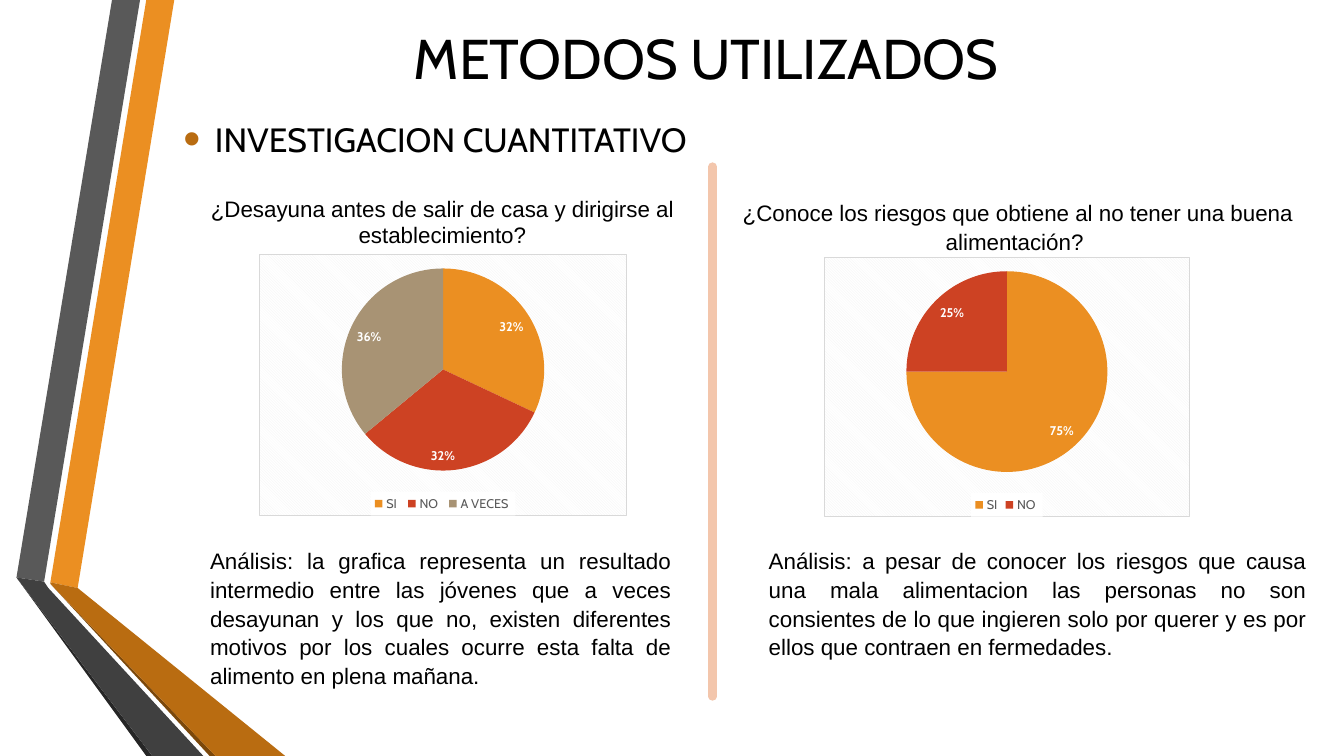
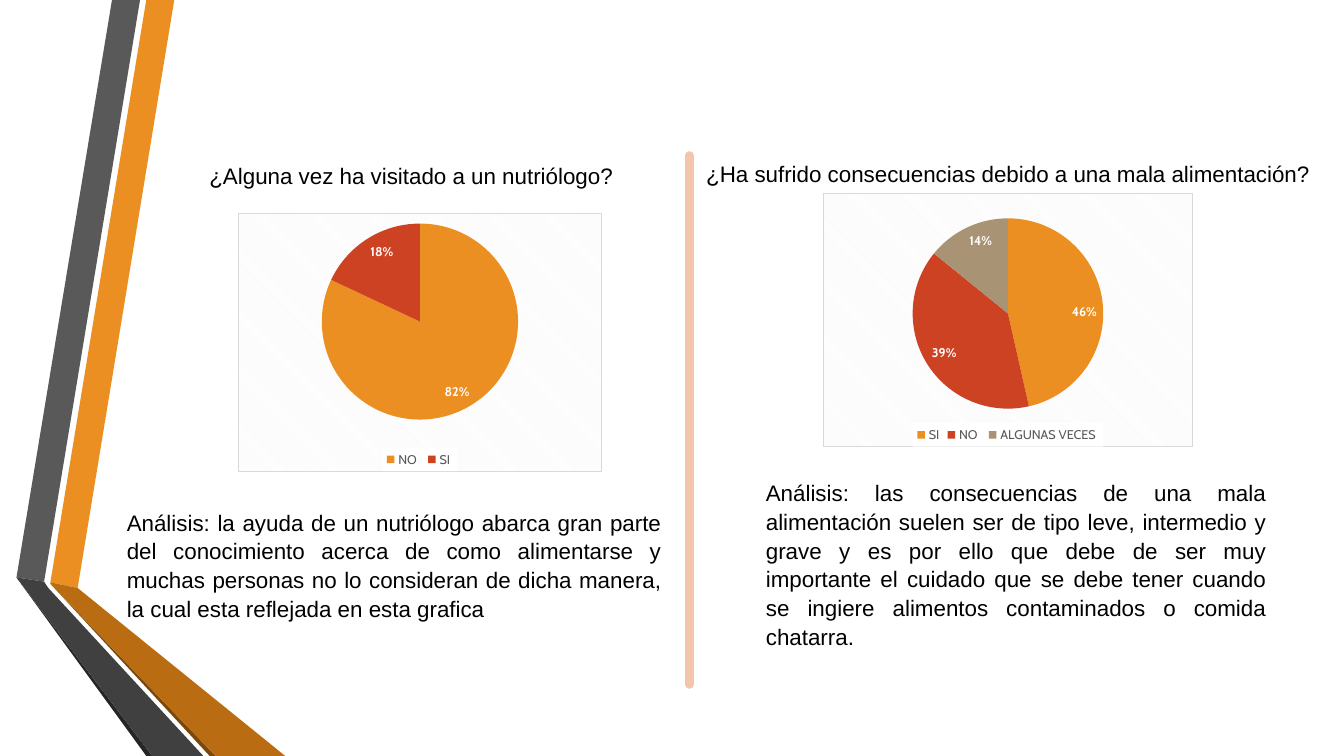
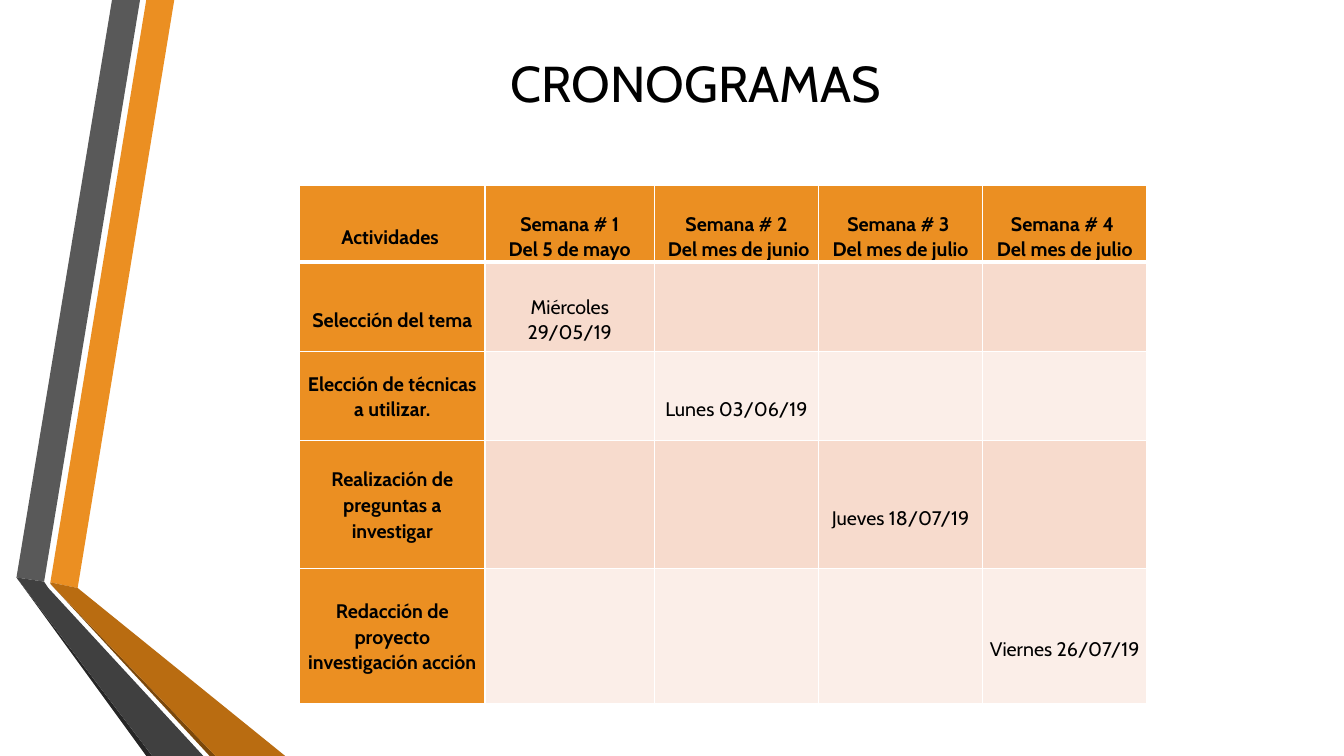
from dataclasses import dataclass

from pptx import Presentation
from pptx.chart.data import CategoryChartData as ChartData
from pptx.dml.color import RGBColor
from pptx.enum.chart import XL_CHART_TYPE as Kind
from pptx.enum.chart import XL_LABEL_POSITION as Spot
from pptx.enum.chart import XL_LEGEND_POSITION as Side
from pptx.enum.shapes import MSO_CONNECTOR as Line
from pptx.enum.text import MSO_ANCHOR as Anchor
from pptx.enum.text import MSO_AUTO_SIZE as Fit
from pptx.enum.text import PP_ALIGN as Align
from pptx.oxml import parse_xml
from pptx.oxml.ns import nsdecls, qn
from pptx.util import Pt

INK = {
    "black": "000000", "white": "FFFFFF", "gray": "595959", "dark": "404040",
    "night": "262626", "orange": "EB8F22", "rust": "B96C11", "brown": "7B480B",
    "red": "CD4223", "sand": "A89374", "peach": "F3C6AC", "rose": "F7DBCD",
    "blush": "FBEEE8", "mist": "F2F2F2", "edge": "D9D9D9",
}
SLICES = ("orange", "red", "sand")
HEAD, BODY = "Cabin", "Arial"


@dataclass
class Box:
    left: float
    top: float
    width: float
    height: float

    def lengths(self) -> tuple:
        return tuple(Pt(v) for v in (self.left, self.top, self.width, self.height))


@dataclass
class Band:
    ink: str
    points: tuple


@dataclass
class Note:
    box: Box
    text: str
    align: Align = Align.JUSTIFY
    loose: bool = True


@dataclass
class Pie:
    box: Box
    names: tuple
    values: tuple
    plot: tuple = ()


@dataclass
class Rule:
    x: float
    top: float
    bottom: float


@dataclass
class Row:
    height: float
    label: str
    drop: bool
    week: int
    date: str


BANDS = (
    Band("orange", ((36, 416), (55.5, 420), (124.5, 0), (104.5, 0))),
    Band("gray", ((100, 0), (80, 0), (11.75, 412.5), (31.5, 415.5))),
    Band("night", ((11.75, 412.5), (104.5, 540), (108.75, 540))),
    Band("brown", ((36, 417), (149.75, 540), (154, 540))),
    Band("rust", ((36, 417), (154, 540), (203.75, 540), (55.5, 420), (36, 416))),
    Band("dark", ((145.25, 540), (34.5, 420), (31.5, 415.5), (11.75, 412.5),
                  (108.75, 540))),
)

HABITS = (
    Pie(Box(185, 181.5, 263, 187), ("SI ", "NO ", "A VECES "), (32, 32, 36)),
    Note(Box(113, 135.5, 406, 46),
         "¿Desayuna antes de salir de casa y dirigirse al establecimiento?",
         Align.CENTER, False),
    Note(Box(143, 386, 343.5, 111),
         "Análisis: la grafica representa un resultado intermedio entre las jóvenes "
         "que a veces desayunan y los que no, existen diferentes motivos por los "
         "cuales ocurre esta falta de alimento en plena mañana."),
    Note(Box(487, 137.5, 480, 49),
         "¿Conoce los riesgos que obtiene al no tener una buena alimentación? ",
         Align.CENTER),
    Rule(509, 119, 497.5),
    Pie(Box(588.5, 183.5, 261.5, 186), ("SI", "NO "), (75, 25)),
    Note(Box(542, 386, 398, 90),
         "Análisis: a pesar de conocer los riesgos que causa una mala alimentacion "
         "las personas no son consientes de lo que ingieren solo por querer y es "
         "por ellos que contraen en fermedades. "),
)
RISKS = (
    Note(Box(142.5, 111, 315.5, 27), "¿Alguna vez ha visitado a un nutriólogo?  "),
    Pie(Box(170, 152, 260, 185), ("NO ", "SI "), (82, 18),
        (0.04, 0.04, 0.92, 0.76)),
    Note(Box(83.5, 358.5, 396, 90),
         "Análisis: la ayuda de un nutriólogo abarca gran parte del conocimiento "
         "acerca de como alimentarse y muchas personas no lo consideran de dicha "
         "manera, la cual esta reflejada en esta grafica "),
    Note(Box(480, 111, 480, 26.5),
         "¿Ha sufrido consecuencias debido a una mala alimentación?",
         Align.CENTER, False),
    Rule(492.5, 111, 489),
    Pie(Box(587.5, 137.5, 265, 182), ("SI", "NO ", "ALGUNAS VECES "),
        (46, 39, 14), (0.04, 0.1, 0.92, 0.75)),
    Note(Box(540, 337.5, 371.5, 132),
         "Análisis: las consecuencias de una mala alimentación suelen ser de tipo "
         "leve, intermedio y grave y es por ello que debe de ser muy importante el "
         "cuidado que se debe tener cuando se ingiere alimentos contaminados o "
         "comida chatarra. "),
)

WIDTHS = (132.5, 121, 117.25, 117.25, 117.25)
TOP_ROW = (
    ("Actividades ",), ("Semana # 1", "Del 5 de mayo"),
    ("Semana # 2", " Del mes de junio"), ("Semana # 3 ", "Del mes de julio"),
    ("Semana # 4 ", "Del mes de julio"),
)
TOP_HIGH = 54.5
ROWS = (
    Row(64, "Selección del tema", True, 1, "Miércoles 29/05/19"),
    Row(64, "Elección de técnicas a utilizar.", False, 2, "Lunes 03/06/19"),
    Row(91, "Realización de preguntas a investigar", False, 3, "Jueves 18/07/19"),
    Row(97, "Redacción de proyecto investigación acción", False, 4,
        "Viernes 26/07/19"),
)


def color(name: str) -> RGBColor:
    return RGBColor.from_string(INK[name])


def style(font, size: float, face: str, ink: str = "black", bold: bool = False) -> None:
    font.size, font.name, font.bold = Pt(size), face, bold
    font.color.rgb = color(ink)


def write(par, text: str, size: float, face: str, bold: bool = False) -> None:
    run = par.add_run()
    run.text = text
    style(run.font, size, face, bold=bold)


# Shared parts
def add_bands(deck, slide) -> None:
    """Draw the folded bands once and hand them to the slide master."""
    group = slide.shapes.add_group_shape()
    for band in BANDS:
        first, *rest = [(Pt(x), Pt(y)) for x, y in band.points]
        pen = group.shapes.build_freeform(*first)
        pen.add_line_segments(rest, close=True)
        shape = pen.convert_to_shape()
        shape.shadow.inherit = False
        shape.fill.solid()
        shape.fill.fore_color.rgb = color(band.ink)
        shape.line.fill.background()
    deck.slide_master.shapes.element.insert(2, group.element)


def set_title(slide, box: Box, text: str, size: float) -> None:
    title = slide.shapes.title
    title.left, title.top, title.width, title.height = box.lengths()
    frame = title.text_frame
    frame.word_wrap, frame.auto_size = True, Fit.NONE
    frame.vertical_anchor = Anchor.MIDDLE
    par = frame.paragraphs[0]
    par.alignment = Align.CENTER
    write(par, text, size, HEAD)


def add_point(slide, box: Box, text: str) -> None:
    frame = slide.shapes.add_textbox(*box.lengths()).text_frame
    frame.word_wrap, frame.vertical_anchor = True, Anchor.MIDDLE
    par = frame.paragraphs[0]
    par.space_after = Pt(6)
    write(par, text, 24, HEAD)
    props = par._p.get_or_add_pPr()
    props.set("marL", str(Pt(22.5)))
    props.set("indent", str(-Pt(22.5)))
    names = nsdecls("a")
    for part in (f'<a:buClr {names}><a:srgbClr val="{INK["rust"]}"/></a:buClr>',
                 f'<a:buSzPct {names} val="145000"/>',
                 f'<a:buFont {names} typeface="Arial"/>',
                 f'<a:buChar {names} char="•"/>'):
        props.append(parse_xml(part))


# Question panels
def add_note(slide, note: Note) -> None:
    frame = slide.shapes.add_textbox(*note.box.lengths()).text_frame
    frame.word_wrap, frame.auto_size = True, Fit.SHAPE_TO_FIT_TEXT
    par = frame.paragraphs[0]
    par.alignment = note.align
    if note.loose:
        par.line_spacing, par.space_after = 1.07, Pt(8)
    write(par, note.text, 16, BODY)


def add_rule(slide, rule: Rule) -> None:
    line = slide.shapes.add_connector(
        Line.STRAIGHT, Pt(rule.x), Pt(rule.top), Pt(rule.x), Pt(rule.bottom))
    line.line.width = Pt(6)
    line.line.color.rgb = color("peach")
    line.line._get_or_add_ln().set("cap", "rnd")
    line._element.spPr.append(parse_xml(f'<a:effectLst {nsdecls("a")}/>'))


def add_pie(slide, pie: Pie) -> None:
    data = ChartData()
    data.categories = pie.names
    data.add_series("Series 1", pie.values)
    chart = slide.shapes.add_chart(Kind.PIE, *pie.box.lengths(), data).chart
    chart.has_title = False
    style(chart.font, 10, HEAD)
    chart.has_legend = True
    legend = chart.legend
    legend.position, legend.include_in_layout = Side.BOTTOM, False
    style(legend.font, 9, HEAD, "gray")

    plot = chart.plots[0]
    plot.vary_by_categories = True
    series = plot.series[0]
    for i in range(len(pie.values)):
        look = series.points[i].format
        look.fill.solid()
        look.fill.fore_color.rgb = color(SLICES[i])
        look.line.fill.background()
    labels = series.data_labels
    labels.show_percentage, labels.show_value = True, False
    labels.number_format, labels.number_format_is_linked = "0%", False
    labels.position = Spot.INSIDE_END
    style(labels.font, 9, HEAD, "white", True)

    # Backdrop, legend fill and plot place
    names = nsdecls("c", "a")
    root = chart._chartSpace
    root.find(qn("c:chart")).addnext(parse_xml(
        f'<c:spPr {names}><a:pattFill prst="dkDnDiag">'
        f'<a:fgClr><a:srgbClr val="{INK["mist"]}"/></a:fgClr>'
        f'<a:bgClr><a:srgbClr val="{INK["white"]}"/></a:bgClr></a:pattFill>'
        f'<a:ln w="{Pt(0.75)}"><a:solidFill><a:srgbClr val="{INK["edge"]}"/>'
        "</a:solidFill></a:ln></c:spPr>"))
    legend._element.find(qn("c:txPr")).addprevious(parse_xml(
        f'<c:spPr {names}><a:solidFill><a:srgbClr val="{INK["white"]}"/>'
        "</a:solidFill></c:spPr>"))
    if pie.plot:
        area = root.find(".//" + qn("c:plotArea"))
        for old in area.findall(qn("c:layout")):
            area.remove(old)
        sizes = "".join(f'<c:{key} val="{value}"/>'
                        for key, value in zip("xywh", pie.plot))
        area.insert(0, parse_xml(
            f'<c:layout {names}><c:manualLayout><c:layoutTarget val="inner"/>'
            f'<c:xMode val="edge"/><c:yMode val="edge"/>{sizes}'
            "</c:manualLayout></c:layout>"))


def add_parts(slide, parts: tuple) -> None:
    tools = {Note: add_note, Pie: add_pie, Rule: add_rule}
    for part in parts:
        tools[type(part)](slide, part)


# Schedule table
def fill_cell(cell, ink: str, lines: tuple = (), bold: bool = False,
              drop: bool = False, top: float = 1, bottom: float = 1) -> None:
    cell.fill.solid()
    cell.fill.fore_color.rgb = color(ink)
    cell.vertical_anchor = Anchor.MIDDLE
    cell.margin_left = cell.margin_right = Pt(3.75)
    cell.margin_top, cell.margin_bottom = Pt(18 if drop else 0), Pt(0)
    frame = cell.text_frame
    for i, text in enumerate(lines):
        par = frame.add_paragraph() if i else frame.paragraphs[0]
        par.alignment, par.line_spacing = Align.CENTER, 1.07
        write(par, text, 14, HEAD, bold)
    sides = {"L": 1, "R": 1, "T": top, "B": bottom}
    for i, (side, width) in enumerate(sides.items()):
        cell._tc.get_or_add_tcPr().insert(i, parse_xml(
            f'<a:ln{side} {nsdecls("a")} w="{Pt(width)}"><a:solidFill>'
            f'<a:srgbClr val="{INK["white"]}"/></a:solidFill></a:ln{side}>'))


def add_plan(slide, left: float, top: float) -> None:
    highs = (TOP_HIGH, *(row.height for row in ROWS))
    box = Box(left, top, sum(WIDTHS), sum(highs))
    table = slide.shapes.add_table(len(highs), len(WIDTHS), *box.lengths()).table
    table.horz_banding = False
    for col, width in zip(table.columns, WIDTHS):
        col.width = Pt(width)
    for line, high in zip(table.rows, highs):
        line.height = Pt(high)
    for c, lines in enumerate(TOP_ROW):
        fill_cell(table.cell(0, c), "orange", lines, True, True, bottom=3)
    for r, row in enumerate(ROWS, 1):
        edge = 3 if r == 1 else 1
        fill_cell(table.cell(r, 0), "orange", (row.label,), True, row.drop, edge)
        for c in range(1, len(WIDTHS)):
            here = c == row.week
            fill_cell(table.cell(r, c), "rose" if r % 2 else "blush",
                      (row.date,) if here else (), drop=here, top=edge)


def main() -> None:
    deck = Presentation()
    deck.slide_width, deck.slide_height = Pt(960), Pt(540)
    titled, blank = deck.slide_layouts[5], deck.slide_layouts[6]

    # Slide 1: methods
    slide = deck.slides.add_slide(titled)
    add_bands(deck, slide)
    set_title(slide, Box(114.5, 6.5, 789, 69), "METODOS UTILIZADOS ", 40)
    add_point(slide, Box(124, 51, 384.5, 96), "INVESTIGACION CUANTITATIVO")
    add_parts(slide, HABITS)

    # Slide 2: more questions
    add_parts(deck.slides.add_slide(blank), RISKS)

    # Slide 3: schedule
    slide = deck.slides.add_slide(titled)
    set_title(slide, Box(106.5, 32.5, 789, 53), "CRONOGRAMAS ", 36)
    add_plan(slide, 214, 132.5)

    deck.save("out.pptx")


if __name__ == "__main__":
    main()
